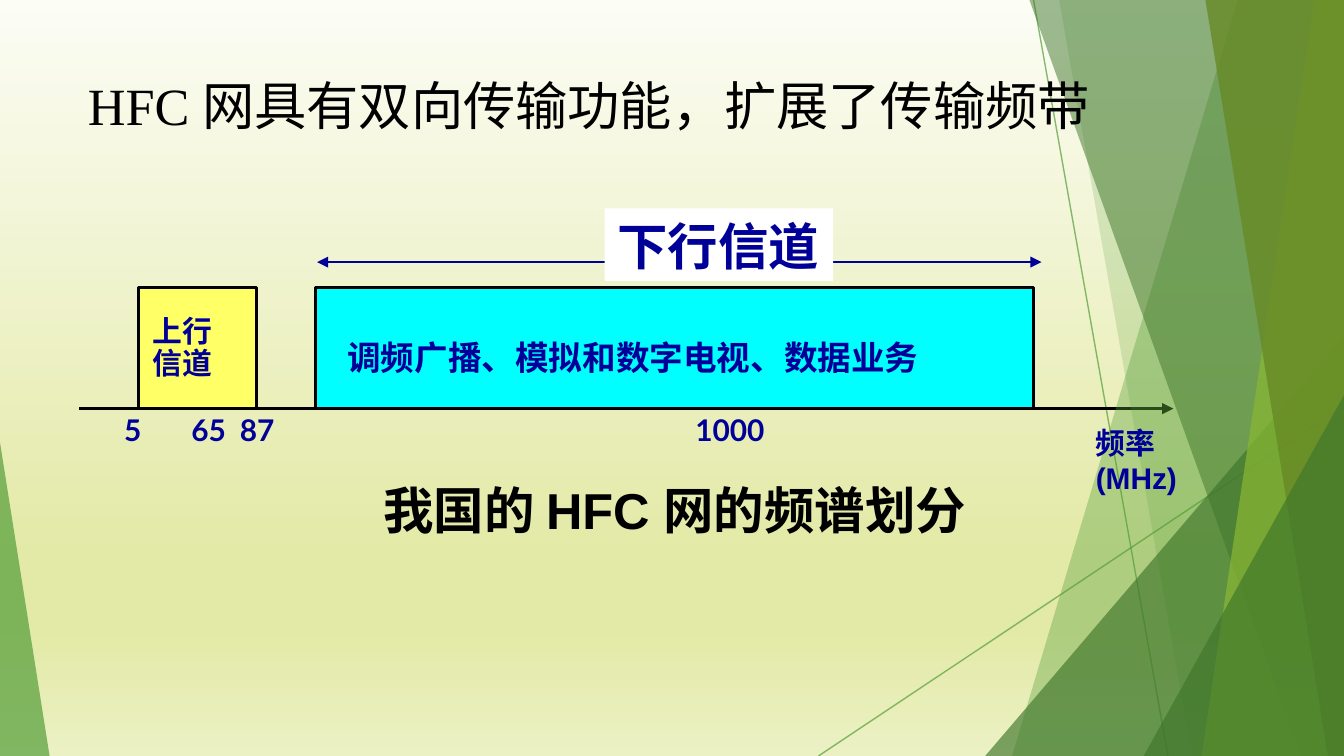
from lxml import etree
from pptx import Presentation
from pptx.dml.color import RGBColor
from pptx.enum.shapes import MSO_CONNECTOR, MSO_SHAPE
from pptx.enum.text import MSO_ANCHOR, PP_ALIGN
from pptx.oxml.ns import qn
from pptx.util import Pt

RECTANGLE = MSO_SHAPE.RECTANGLE
TRIANGLE = MSO_SHAPE.ISOSCELES_TRIANGLE
STRAIGHT = MSO_CONNECTOR.STRAIGHT
LEFT, CENTER = PP_ALIGN.LEFT, PP_ALIGN.CENTER
TOP = MSO_ANCHOR.TOP
WIDTH, HEIGHT = 720, 405
GREEN, DARK_GREEN, LIME, OLIVE = "549E39", "3F762B", "8AB833", "678A26"
NAVY, BLACK = "000099", "000000"


def rgb(value):
    return RGBColor.from_string(value)


def set_alpha(shape, percent):
    color = shape._element.spPr.find(".//" + qn("a:srgbClr"))
    etree.SubElement(color, qn("a:alpha"), val=str(percent * 1000))


presentation = Presentation()
presentation.slide_width, presentation.slide_height = Pt(WIDTH), Pt(HEIGHT)
slide = presentation.slides.add_slide(presentation.slide_layouts[6])
shapes = slide.shapes

# Background gradient, running downwards
background = slide.background.fill
background.gradient()
background.gradient_angle = 270
stops = slide._element.find(".//" + qn("a:gsLst"))
for stop in list(stops):
    stops.remove(stop)
for position, color in [(0, "FCFDF5"), (74, "E3E9A6"), (83, "E3E9A6"), (100, "ECF1C4")]:
    stop = etree.SubElement(stops, qn("a:gs"), pos=str(position * 1000))
    etree.SubElement(stop, qn("a:srgbClr"), val=color)

# Lines: start, end, color, width, opacity, arrowheads
decor_lines = [
    ((553.7, 0), (625.7, HEIGHT), GREEN, 0.75, 70, []),
    ((WIDTH, 217.4), (438.5, HEIGHT), GREEN, 0.75, 70, []),
]
arrows = [
    ((169.9, 140.4), (558, 140.4), NAVY, 1.5, 100, ["headEnd", "tailEnd"]),
    ((42.5, 218.9), (628.6, 218.9), BLACK, 1.5, 100, ["tailEnd"]),
]
for start, end, color, width, opacity, heads in decor_lines + arrows:
    connector = shapes.add_connector(STRAIGHT, *map(Pt, start + end))
    connector.line.width = Pt(width)
    connector.line.color.rgb = rgb(color)
    if opacity < 100:
        set_alpha(connector, opacity)
    outline = connector._element.spPr.find(qn("a:ln"))
    for head in heads:
        etree.SubElement(outline, qn("a:" + head), type="triangle")
    etree.SubElement(connector._element.spPr, qn("a:effectLst"))

# Translucent facets: top left x, bottom left x, color, opacity;
# triangles: left, top, width, apex position, color, opacity
facets = [
    (663.1, 542.2, GREEN, 36),
    (567.4, 638.6, GREEN, 20),
    (527.8, 180, 192.2, 1, DARK_GREEN, 66),
    (551.5, 697, DARK_GREEN, 50),
    (704.2, 643.7, LIME, 70),
    (645.8, 711.4, OLIVE, 80),
    (612.7, 211.7, 107.3, 1, DARK_GREEN, 66),
    (0, 236.9, 26.6, 0, GREEN, 70),
]
for *geometry, color, opacity in facets:
    if len(geometry) == 2:
        top_x, bottom_x = geometry
        builder = shapes.build_freeform(Pt(top_x), 0)
        corners = [(WIDTH, 0), (WIDTH, HEIGHT), (bottom_x, HEIGHT)]
        builder.add_line_segments([(Pt(x), Pt(y)) for x, y in corners])
        shape = builder.convert_to_shape()
    else:
        left, top, width, apex = geometry
        shape = shapes.add_shape(TRIANGLE, Pt(left), Pt(top), Pt(width), Pt(HEIGHT - top))
        shape.adjustments[0] = apex
    shape.shadow.inherit = False
    shape.fill.solid()
    shape.fill.fore_color.rgb = rgb(color)
    set_alpha(shape, opacity)
    shape.line.fill.background()

# Channel blocks and the white plate of the downlink label
blocks = [
    (74.2, 154.1, 63.4, 64.8, "FFFF66", True),
    (169.2, 154.1, 384.5, 64.8, "00FFFF", True),
    (324, 111.6, 122.4, 38.9, "FFFFFF", False),
]
for left, top, width, height, color, outlined in blocks:
    shape = shapes.add_shape(RECTANGLE, Pt(left), Pt(top), Pt(width), Pt(height))
    shape.shadow.inherit = False
    shape.fill.solid()
    shape.fill.fore_color.rgb = rgb(color)
    if outlined:
        shape.line.color.rgb = rgb(BLACK)
        shape.line.width = Pt(1.5)
    else:
        shape.line.fill.background()
plate = shape

# Texts: box (None for the plate), text, size, font, color, bold, alignment, spacing, tabs
texts = [
    ((40.3, 36, 558, 77.8), "HFC 网具有双向传输功能，扩展了传输频带", 28,
     "Times New Roman", BLACK, False, LEFT, 1, []),
    (None, "下行信道", 27, "Arial", NAVY, True, LEFT, 1, []),
    ((74.9, 166.3, 59.8, 41), "上行\n信道", 16, "Arial", NAVY, True, LEFT, 0.9, []),
    ((59.8, 217.4, 383.8, 25.9), "5\t65\t87\t1000", 16,
     "Lato", NAVY, True, LEFT, 1, [36, 62, 306]),
    ((179.3, 177.1, 324, 28.1), "调频广播、模拟和数字电视、数据业务", 18,
     "Arial", NAVY, True, LEFT, 1, []),
    ((580.3, 223.9, 70, 25.9), "频率(MHz)", 16, "Arial", NAVY, True, LEFT, 1, []),
    ((169.2, 253.4, 384.5, 38.9), "我国的 HFC 网的频谱划分", 27,
     "Arial", BLACK, True, CENTER, 1, []),
]
for box, text, size, font, color, bold, alignment, spacing, tabs in texts:
    shape = shapes.add_textbox(*map(Pt, box)) if box else plate
    frame = shape.text_frame
    frame.text = text
    frame_format = {
        "word_wrap": True, "vertical_anchor": TOP,
        "margin_left": Pt(6.75), "margin_right": Pt(6.75),
        "margin_top": Pt(3.4), "margin_bottom": Pt(3.4),
    }
    for name, value in frame_format.items():
        setattr(frame, name, value)
    for paragraph in frame.paragraphs:
        paragraph.alignment = alignment
        paragraph.line_spacing = spacing
        if tabs:
            tab_list = etree.SubElement(paragraph._p.get_or_add_pPr(), qn("a:tabLst"))
            for tab in tabs:
                etree.SubElement(tab_list, qn("a:tab"), pos=str(Pt(tab)), algn="l")
        font_format = {"size": Pt(size), "name": font, "bold": bold}
        for run in paragraph.runs:
            for name, value in font_format.items():
                setattr(run.font, name, value)
            run.font.color.rgb = rgb(color)

presentation.save("out.pptx")
